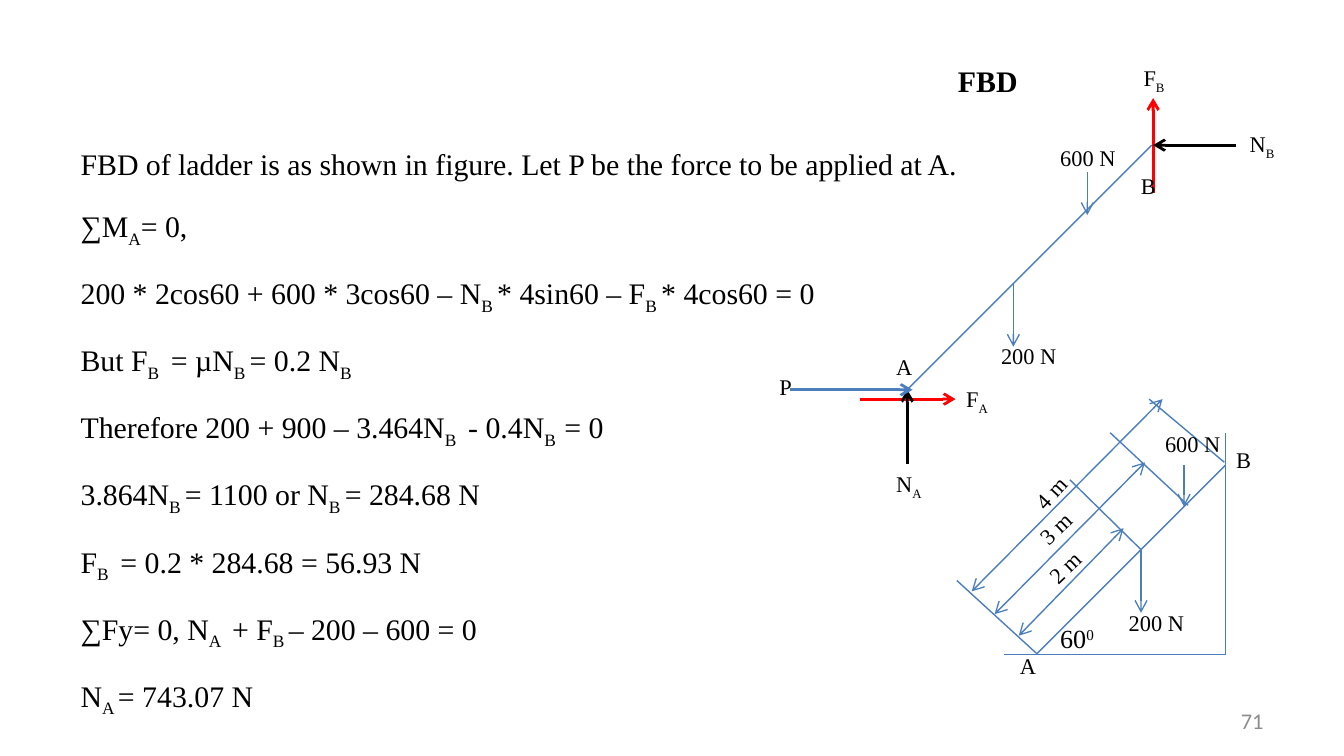
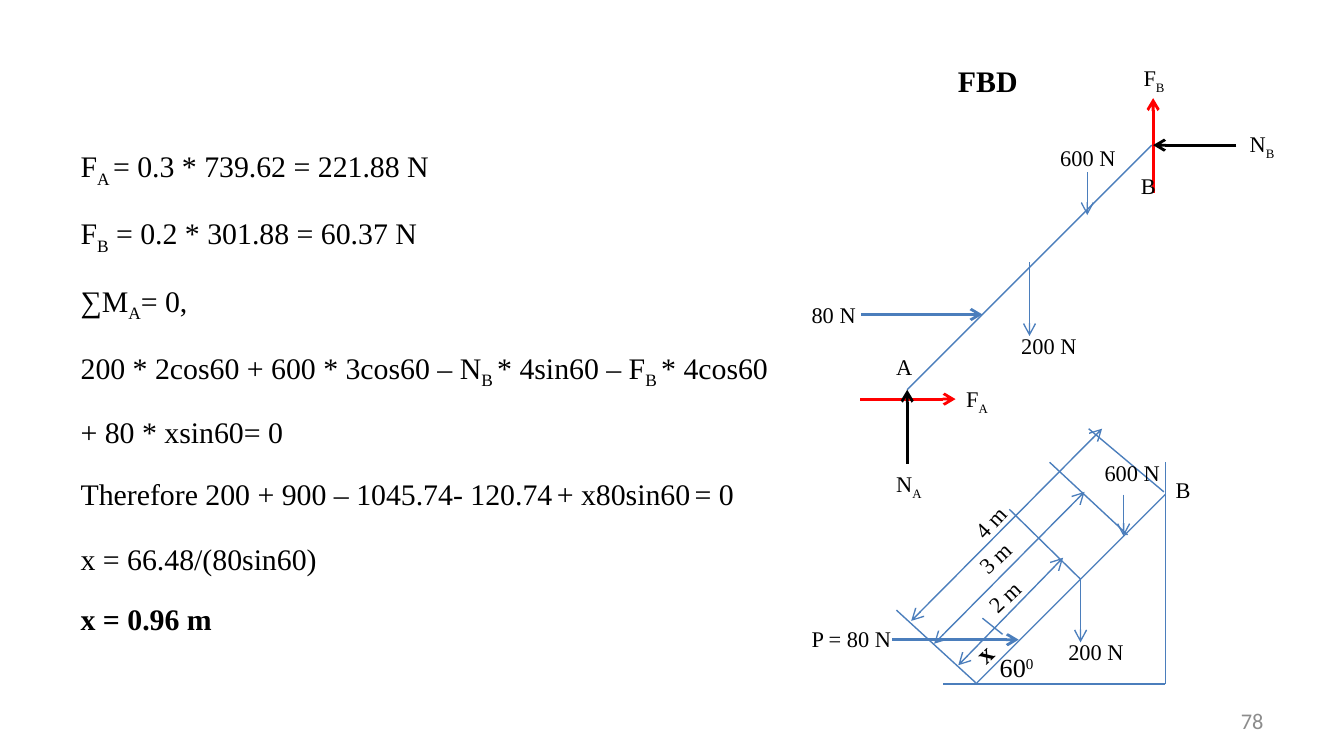
import pptx
import pptx.dml.color
import pptx.enum.shapes
import pptx.enum.text
import pptx.oxml.ns
import pptx.util
import lxml.etree

PX = 9144
SIZE = (1000, 562.5)
FONT = "Times New Roman"
BLUE, RED, BLACK, GREY = "4B7EBC", "FF0000", "000000", "8C8C8C"
ALIGN = pptx.enum.text.PP_ALIGN
FIT = pptx.enum.text.MSO_AUTO_SIZE
MID = pptx.enum.text.MSO_ANCHOR.MIDDLE
NAME = pptx.oxml.ns.qn

STYLES = {
    "line": (BLUE, 0.75, ()),
    "arrow": (BLUE, 0.75, ("tailEnd",)),
    "span": (BLUE, 0.75, ("headEnd", "tailEnd")),
    "push": (BLUE, 1.5, ("tailEnd",)),
    "red": (RED, 1.5, ("tailEnd",)),
    "black": (BLACK, 1.5, ("tailEnd",)),
}

FORCE_LINES = [
    ("line", 675, 290, 857, 108),
    ("arrow", 809, 128, 809, 160),
    ("red", 858, 144, 858, 73),
    ("black", 920, 108, 858, 108),
    ("red", 640, 297, 711, 297),
    ("black", 675, 345, 675, 290),
]
FORCE_TEXTS = [
    ("600 N", 779, 102, 71, {}),
    ("B", 839, 123, 35, {}),
    ("A", 657, 258, 50, {}),
    ("F~B~", 841, 43, 71, {}),
    ("N~B~", 920, 92, 71, {}),
    ("F~A~", 709, 282, 71, {}),
    ("N~A~", 657, 345, 71, {}),
    ("FBD", 703, 42, 73, {"size": 16, "bold": True}),
]
WALL_LINES = [
    ("line", 747, 487, 912, 487),
    ("line", 912, 487, 912, 322),
    ("line", 771, 487, 912, 346),
    ("arrow", 849, 409, 849, 456),
    ("arrow", 881, 346, 881, 377),
    ("line", 771, 486, 712, 432),
    ("line", 911, 344, 855, 297),
    ("span", 723, 440, 865, 297),
    ("span", 740, 457, 852, 344),
    ("line", 884, 376, 826, 322),
    ("line", 849, 409, 796, 357),
    ("span", 758, 473, 836, 393),
]
WALL_TEXTS = [
    ("600 N", 857, 315, 71, {}),
    ("B", 910, 327, 50, {}),
    ("4 m", 755, 342, 71, {"turn": 312.9}),
    ("3 m", 759, 369, 71, {"turn": 316.4}),
    ("2 m", 766, 398, 71, {"turn": 316.4}),
    ("200 N", 830, 448, 71, {}),
    ("60~0~", 779, 458, 70, {"size": 14, "base": 30}),
]

SLIDES = [
    {
        "num": "71",
        "body": [
            "FBD of ladder is as shown in figure. Let P be the force to be applied at A.",
            "∑M~A~= 0,",
            "200 * 2cos60 + 600 * 3cos60 – N~B ~* 4sin60 – F~B ~* 4cos60 = 0",
            "But F~B ~ = µN~B ~= 0.2 N~B~",
            "Therefore 200 + 900 – 3.464N~B ~ - 0.4N~B  ~= 0",
            "3.864N~B ~= 1100 or N~B ~= 284.68 N",
            "F~B ~ = 0.2 * 284.68 = 56.93 N",
            "∑Fy= 0, N~A ~ + F~B ~– 200 – 600 = 0",
            "N~A ~= 743.07 N",
        ],
        "bold": [],
        "shift": (0, 0),
        "lines": [("arrow", 754, 211, 754, 258), ("push", 588, 290, 679, 290)],
        "texts": [
            ("200 N", 735, 250, 71, {}),
            ("P", 570, 273, 71, {}),
            ("A", 749, 480, 50, {}),
        ],
    },
    {
        "num": "78",
        "body": [
            "F~A ~= 0.3 * 739.62 = 221.88 N",
            "F~B~ = 0.2 * 301.88 = 60.37 N",
            "∑M~A~= 0,",
            "200 * 2cos60 + 600 * 3cos60 – N~B ~* 4sin60 – F~B ~* 4cos60",
            "+ 80 * xsin60= 0",
            "Therefore 200 + 900 – 1045.74- 120.74~ ~+ x80sin60~ ~= 0",
            "x = 66.48/(80sin60)",
            "x = 0.96 m",
        ],
        "bold": [7],
        "shift": (-45, 22),
        "lines": [
            ("arrow", 766, 195, 766, 250),
            ("push", 641, 234, 731, 234),
            ("push", 664, 476, 758, 476),
            ("line", 746, 472, 731, 460),
        ],
        "texts": [
            ("200 N", 750, 242, 71, {}),
            ("80 N", 594, 219, 71, {}),
            ("P = 80 N", 594, 460, 94, {}),
            ("x", 712, 455, 71, {"size": 14, "bold": True, "turn": 316.4}),
        ],
    },
]


def px(*nums):
    return [int(n * PX) for n in nums]


def paint(color, hue):
    color.rgb = pptx.dml.color.RGBColor.from_string(hue)


def put(thing, vals):
    for key, val in vals.items():
        setattr(thing, key, val)


def write(para, text, size=12, bold=None, base=-25, font=FONT, hue=BLACK):
    for i, part in enumerate(text.split("~")):
        if part:
            run = para.add_run()
            run.text = part
            put(run.font, {"size": pptx.util.Pt(size), "bold": bold, "name": font})
            paint(run.font.color, hue)
            if i % 2:
                run._r.get_or_add_rPr().set("baseline", str(base * 1000))


def label(slide, text, x, y, w, fmt, dx=0, dy=0):
    fmt = dict(fmt)
    turn = fmt.pop("turn", 0)
    high = {12: 30, 14: 34, 16: 37}[fmt.get("size", 12)]
    box = slide.shapes.add_textbox(*px(x + dx, y + dy, w, high))
    box.rotation = turn
    put(box.text_frame, {"word_wrap": True, "auto_size": FIT.SHAPE_TO_FIT_TEXT})
    write(box.text_frame.paragraphs[0], text, **fmt)
    return box


def draw(slide, style, x1, y1, x2, y2, dx=0, dy=0):
    hue, wide, ends = STYLES[style]
    kind = pptx.enum.shapes.MSO_CONNECTOR.STRAIGHT
    line = slide.shapes.add_connector(kind, *px(x1 + dx, y1 + dy, x2 + dx, y2 + dy))
    line.line.width = pptx.util.Pt(wide)
    paint(line.line.color, hue)
    props = line._element.spPr
    for end in ends:
        lxml.etree.SubElement(props.find(NAME("a:ln")), NAME("a:" + end), type="arrow")
    lxml.etree.SubElement(props, NAME("a:effectLst"))


def fill(slide, rows, bold):
    body = slide.placeholders[1]
    put(body, dict(zip(("left", "top", "width", "height"), px(50, 90, 900, 413))))
    frame = body.text_frame
    put(frame, {"word_wrap": True, "auto_size": FIT.NONE})
    for i, row in enumerate(rows):
        para = frame.add_paragraph() if i else frame.paragraphs[0]
        props = para._p.get_or_add_pPr()
        for key in ("marL", "indent"):
            props.set(key, "0")
        lxml.etree.SubElement(props, NAME("a:buNone"))
        put(para, {"alignment": ALIGN.JUSTIFY, "line_spacing": 1.5})
        if i == 0:
            para.space_before = 0
        write(para, row, size=16, bold=True if i in bold else None)


def build(deck, data):
    slide = deck.slides.add_slide(deck.slide_layouts[1])
    title = slide.shapes.title._element
    title.getparent().remove(title)
    fill(slide, data["body"], data["bold"])
    num = label(slide, data["num"], 717, 521, 233, {"font": "Calibri", "hue": GREY})
    put(num.text_frame, {"vertical_anchor": MID, "auto_size": FIT.NONE})
    num.text_frame.paragraphs[0].alignment = ALIGN.RIGHT
    for item in FORCE_LINES + data["lines"]:
        draw(slide, *item)
    for item in WALL_LINES:
        draw(slide, *item, *data["shift"])
    for item in FORCE_TEXTS + data["texts"]:
        label(slide, *item)
    for item in WALL_TEXTS:
        label(slide, *item, *data["shift"])


def main():
    deck = pptx.Presentation()
    put(deck, dict(zip(("slide_width", "slide_height"), px(*SIZE))))
    for data in SLIDES:
        build(deck, data)
    deck.save("out.pptx")


if __name__ == "__main__":
    main()
